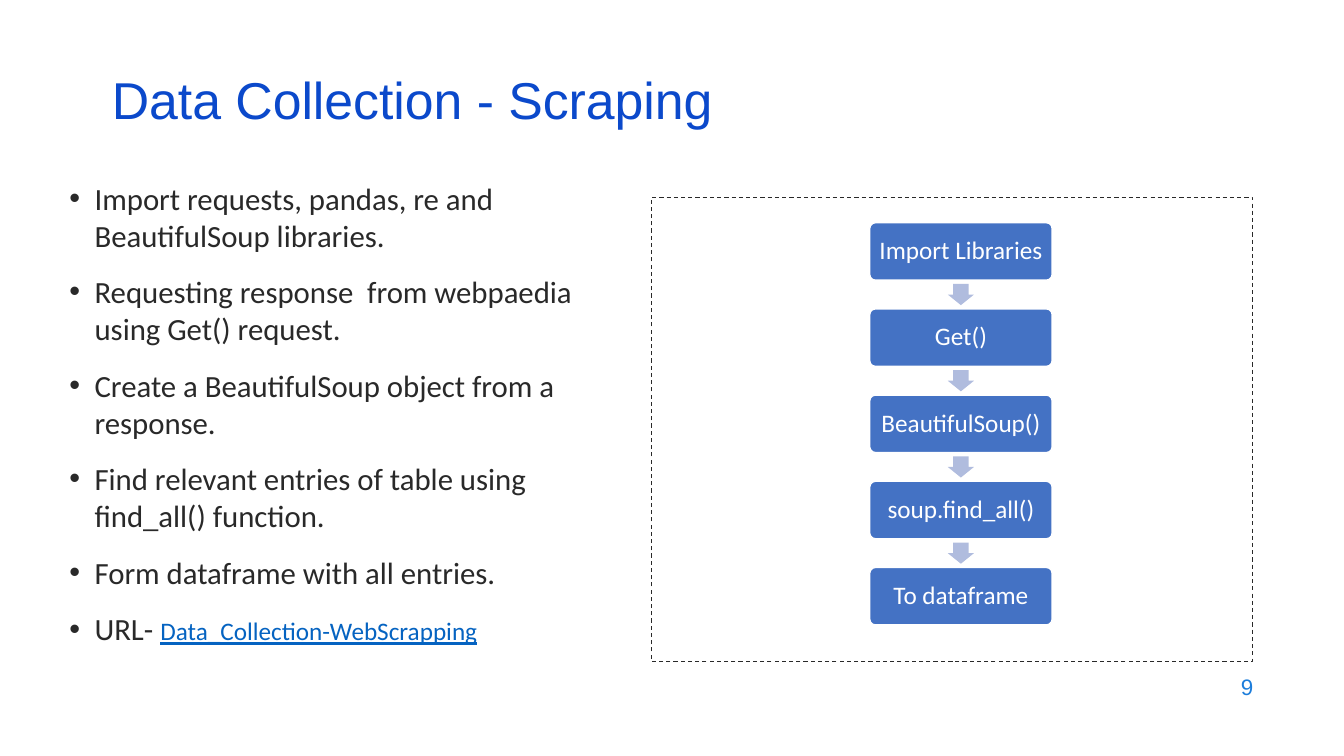
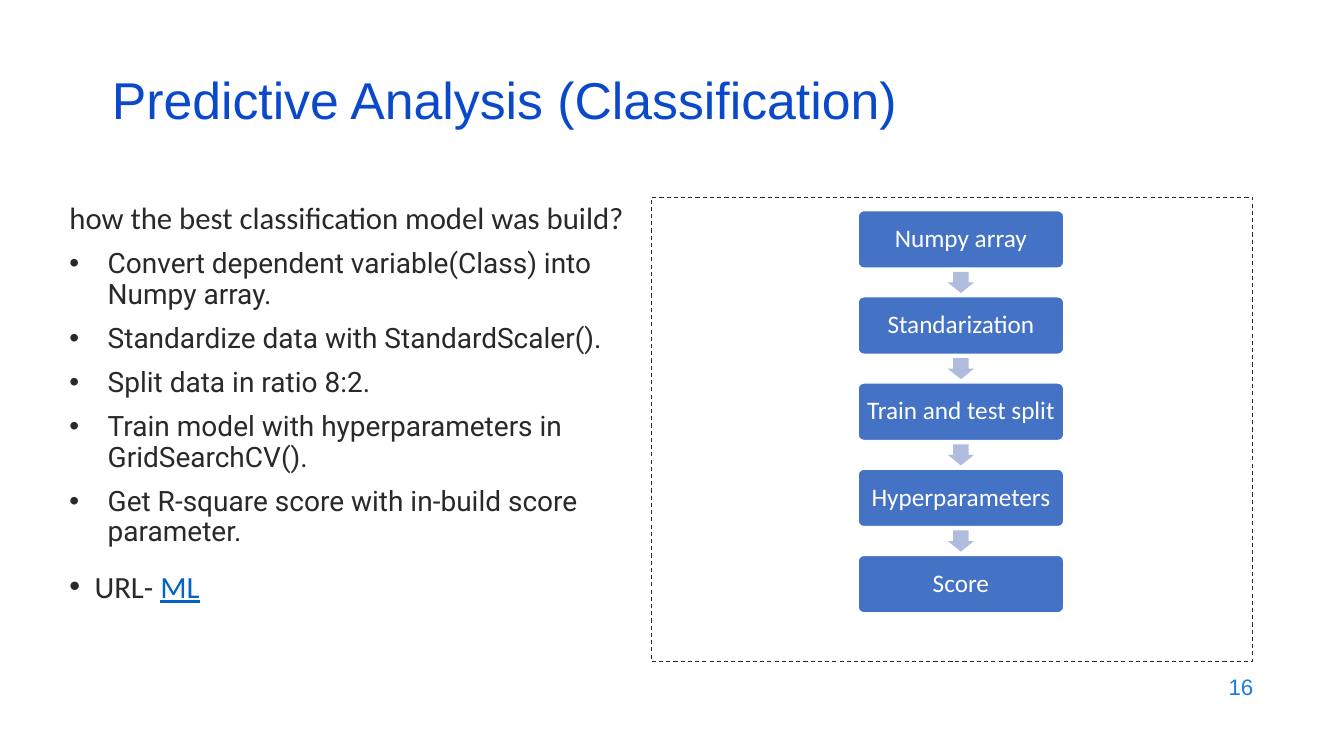
from lxml import etree
from pptx import Presentation
from pptx.dml.color import RGBColor
from pptx.enum.dml import MSO_LINE
from pptx.enum.shapes import MSO_SHAPE
from pptx.enum.text import MSO_ANCHOR, MSO_AUTO_SIZE, PP_ALIGN
from pptx.oxml.ns import qn
from pptx.util import Inches, Pt

RECTANGLE, ROUNDED = MSO_SHAPE.RECTANGLE, MSO_SHAPE.ROUNDED_RECTANGLE
DOWN_ARROW = MSO_SHAPE.DOWN_ARROW
DASH = MSO_LINE.DASH
LEFT, CENTER, RIGHT = PP_ALIGN.LEFT, PP_ALIGN.CENTER, PP_ALIGN.RIGHT
TOP, MIDDLE = MSO_ANCHOR.TOP, MSO_ANCHOR.MIDDLE
NO_FIT = MSO_AUTO_SIZE.NONE
TITLE_ONLY = 5

# The slide is a grid of square cells; all places are (column, row, columns, rows).
COLUMNS, ROWS = 80, 45
CELL = Inches(7.5) // ROWS

TITLE_AREA = (6.06, 4.56, 69, 3.6)
NUMBER_AREA = (57.2, 39.54, 18, 2.64)
FRAME_AREA = (38.76, 11.76, 35.82, 27.6)
BODY_LEFT, BODY_COLUMNS, BODY_ROWS = 3.54, 35.28, 31.5
FLOW_AXIS = 57.2
STEP_ROWS = 3.42
STEP_GAP = STEP_ROWS / 2
ARROW_COLUMNS, ARROW_ROWS = 1.56, 1.26

TITLE = dict(size=Pt(37), name="Arial", color="0B49CB")
NUMBER = dict(size=Pt(16), name="Arial", color="1C7DDB")
BODY = dict(size=Pt(22), name="Calibri", color="292929")
DETAIL = dict(BODY, size=Pt(20), name="Roboto")
LINK = dict(BODY, color="0563C1", underline=True)
SMALL_LINK = dict(LINK, size=Pt(18))
STEP = dict(size=Pt(18), name="Calibri", color="FFFFFF")
STEP_FILL, ARROW_FILL, FRAME_LINE = "4472C4", "B0BCDE", "292929"

POINT = dict(indent=0.25, bullet=True, space_before=Pt(14))
QUESTION = dict(indent=0.25, space_before=Pt(10), line_spacing=0.9)
DETAIL_POINT = dict(QUESTION, indent=0.38, bullet=True)


def rgb(value):
    return RGBColor.from_string(value)


def set_all(target, values):
    for name, value in values.items():
        setattr(target, name, value)


class Slides:
    """Holds the deck, its style and the slide being filled."""

    def __init__(self):
        self.deck = Presentation()
        self.deck.slide_width = COLUMNS * CELL
        self.deck.slide_height = ROWS * CELL
        self.page = None

    def add_page(self, title, number):
        layout = self.deck.slide_layouts[TITLE_ONLY]
        self.page = self.deck.slides.add_slide(layout)
        box = self.page.shapes.title
        places = zip(("left", "top", "width", "height"), self.place(TITLE_AREA))
        set_all(box, dict(places))
        self.fill_text(box, [(dict(line_spacing=0.7), [(title, TITLE)])], MIDDLE)
        self.text(NUMBER_AREA, [(dict(alignment=RIGHT), [(number, NUMBER)])], MIDDLE)
        frame = self.shape(RECTANGLE, FRAME_AREA, line=FRAME_LINE, width=0.75)
        frame.line.dash_style = DASH

    def place(self, area):
        return [round(cells * CELL) for cells in area]

    def fill_text(self, box, paragraphs, anchor=TOP):
        """Fill a box with (paragraph format, [(text, font style), ...]) pairs."""
        frame = box.text_frame
        set_all(frame, dict(word_wrap=True, auto_size=NO_FIT, vertical_anchor=anchor))
        for index, (layout, spans) in enumerate(paragraphs):
            para = frame.add_paragraph() if index else frame.paragraphs[0]
            layout = dict(dict(alignment=LEFT), **layout)
            self.indent(para, layout.pop("indent", 0), layout.pop("bullet", False))
            if not index:
                layout["space_before"] = Pt(0)
            set_all(para, layout)
            for text, style in spans:
                span = para.add_run()
                span.text = text
                style = dict(style)
                span.font.color.rgb = rgb(style.pop("color"))
                set_all(span.font, style)

    def indent(self, para, inches, bullet):
        """Set a hanging indent, with or without a bullet in it."""
        properties = para._p.get_or_add_pPr()
        properties.set("marL", str(Inches(inches)))
        properties.set("indent", str(-Inches(inches)))
        if bullet:
            etree.SubElement(properties, qn("a:buFont")).set("typeface", "Arial")
            etree.SubElement(properties, qn("a:buChar")).set("char", "•")

    def text(self, area, paragraphs, anchor=TOP):
        box = self.page.shapes.add_textbox(*self.place(area))
        self.fill_text(box, paragraphs, anchor)

    def body(self, top, paragraphs):
        self.text((BODY_LEFT, top, BODY_COLUMNS, BODY_ROWS), paragraphs)

    def shape(self, kind, area, fill=None, line=None, width=1, adjustments=()):
        box = self.page.shapes.add_shape(kind, *self.place(area))
        box.shadow.inherit = False
        for index, value in enumerate(adjustments):
            box.adjustments[index] = value
        if fill:
            box.fill.solid()
            box.fill.fore_color.rgb = rgb(fill)
        else:
            box.fill.background()
        if line:
            box.line.color.rgb = rgb(line)
            box.line.width = Pt(width)
        else:
            box.line.fill.background()
        return box

    def flow(self, top, columns, steps):
        """Stack the steps on one axis, with an arrow in the middle of each gap."""
        margins = ("margin_left", "margin_right", "margin_top", "margin_bottom")
        for index, step in enumerate(steps):
            row = top + index * (STEP_ROWS + STEP_GAP)
            if index:
                arrow_row = row - (STEP_GAP + ARROW_ROWS) / 2
                area = (FLOW_AXIS - ARROW_COLUMNS / 2, arrow_row, ARROW_COLUMNS, ARROW_ROWS)
                self.shape(DOWN_ARROW, area, ARROW_FILL, adjustments=(0.6, 0.5))
            area = (FLOW_AXIS - columns / 2, row, columns, STEP_ROWS)
            box = self.shape(ROUNDED, area, STEP_FILL, "FFFFFF", adjustments=(0.1,))
            set_all(box.text_frame, dict.fromkeys(margins, Inches(0.07)))
            layout = dict(alignment=CENTER, line_spacing=0.9)
            self.fill_text(box, [(layout, [(step, STEP)])], MIDDLE)


def main():
    slides = Slides()

    slides.add_page("Data Collection - Scraping", "9")
    points = [
        "Import requests, pandas, re and BeautifulSoup libraries.",
        "Requesting response  from webpaedia using Get() request.",
        "Create a BeautifulSoup object from a response.",
        "Find relevant entries of table using find_all() function.",
        "Form dataframe with all entries.",
    ]
    url = (POINT, [("URL- ", BODY), ("Data_Collection-WebScrapping", SMALL_LINK)])
    slides.body(10.38, [(POINT, [(point, BODY)]) for point in points] + [url])
    slides.flow(13.26, 10.86, ["Import Libraries", "Get()", "BeautifulSoup()",
                               "soup.find_all()", "To dataframe"])

    slides.add_page("Predictive Analysis (Classification)", "16")
    question = (QUESTION, [("how the best classification model was build?", BODY)])
    details = [
        "Convert dependent variable(Class) into Numpy array.",
        "Standardize data with StandardScaler().",
        "Split data in ratio 8:2.",
        "Train model with hyperparameters in GridSearchCV().",
        "Get R-square score with in-build score parameter.",
    ]
    url = (POINT, [("URL- ", BODY), ("ML", LINK)])
    answers = [(DETAIL_POINT, [(detail, DETAIL)]) for detail in details]
    slides.body(11.76, [question] + answers + [url])
    slides.flow(12.54, 12.24, ["Numpy array", "Standarization", "Train and test split",
                               "Hyperparameters", "Score"])

    slides.deck.save("out.pptx")


if __name__ == "__main__":
    main()
